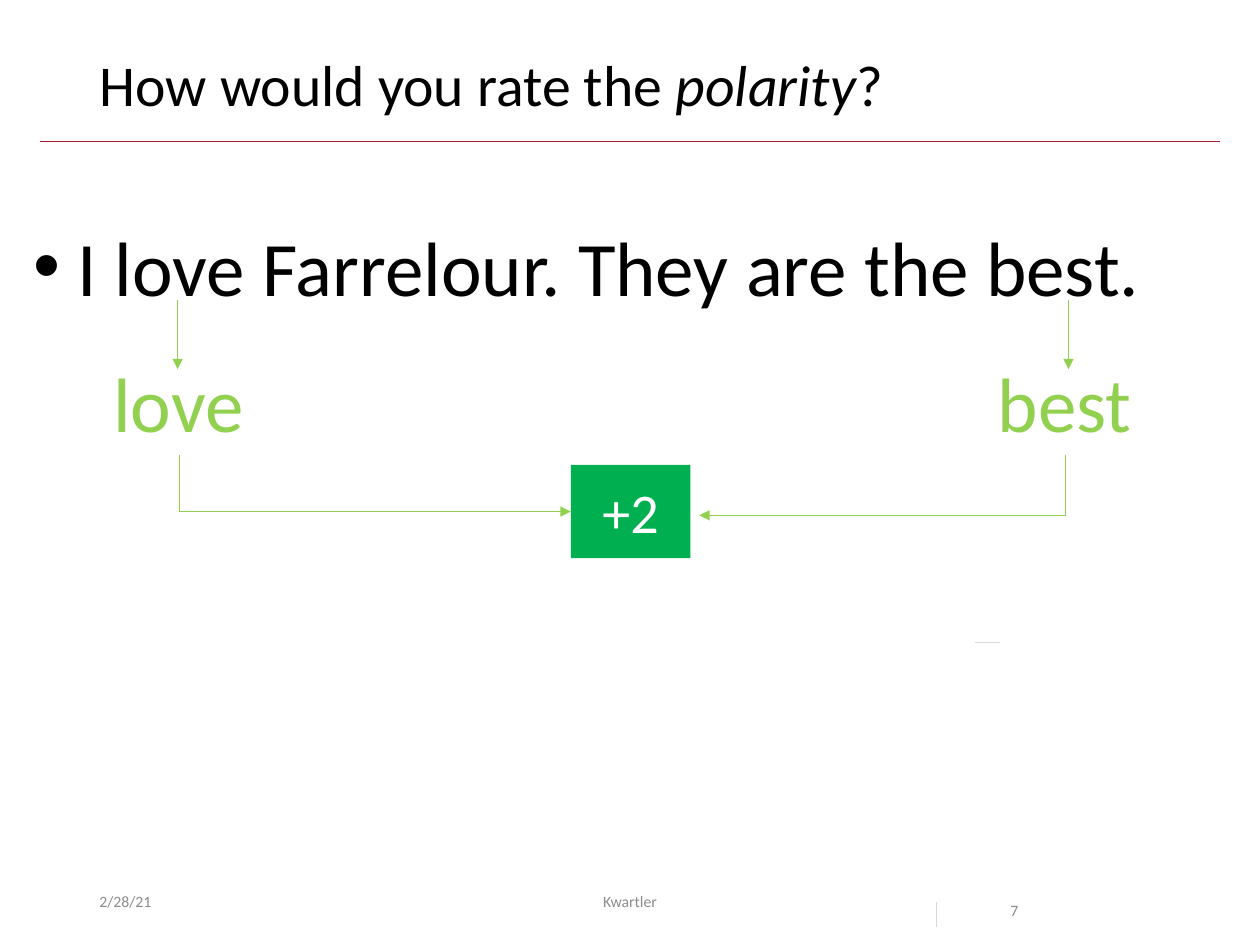
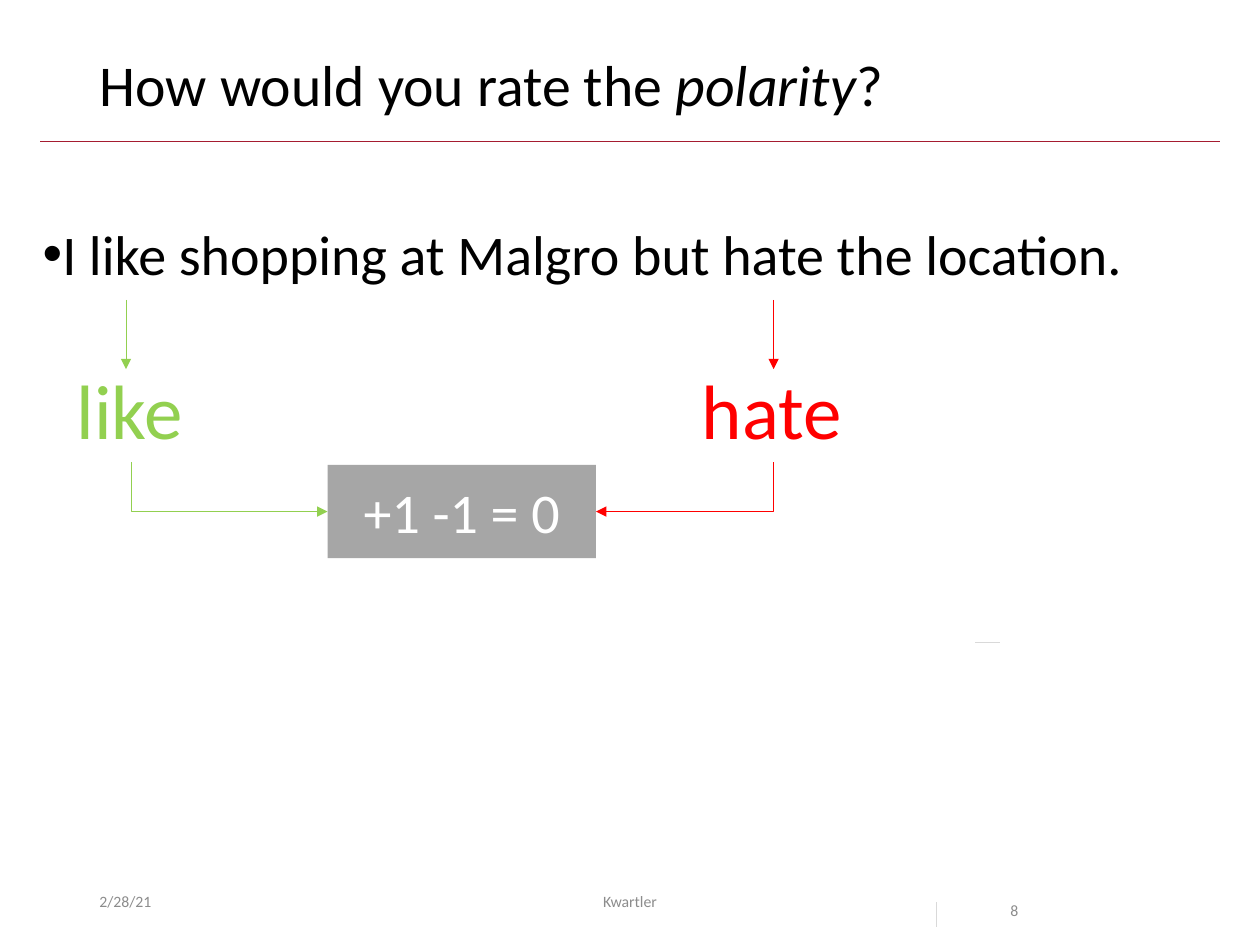
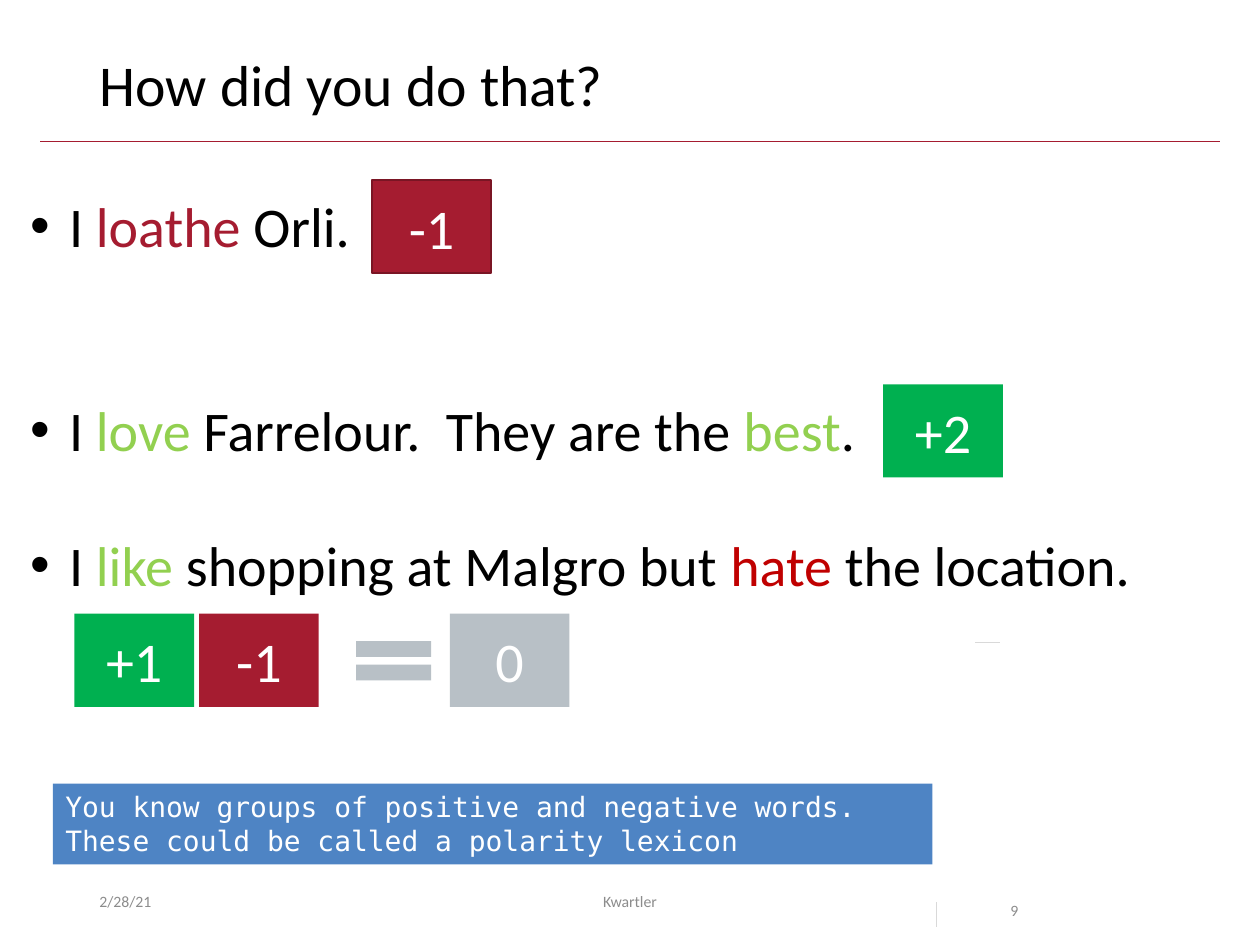
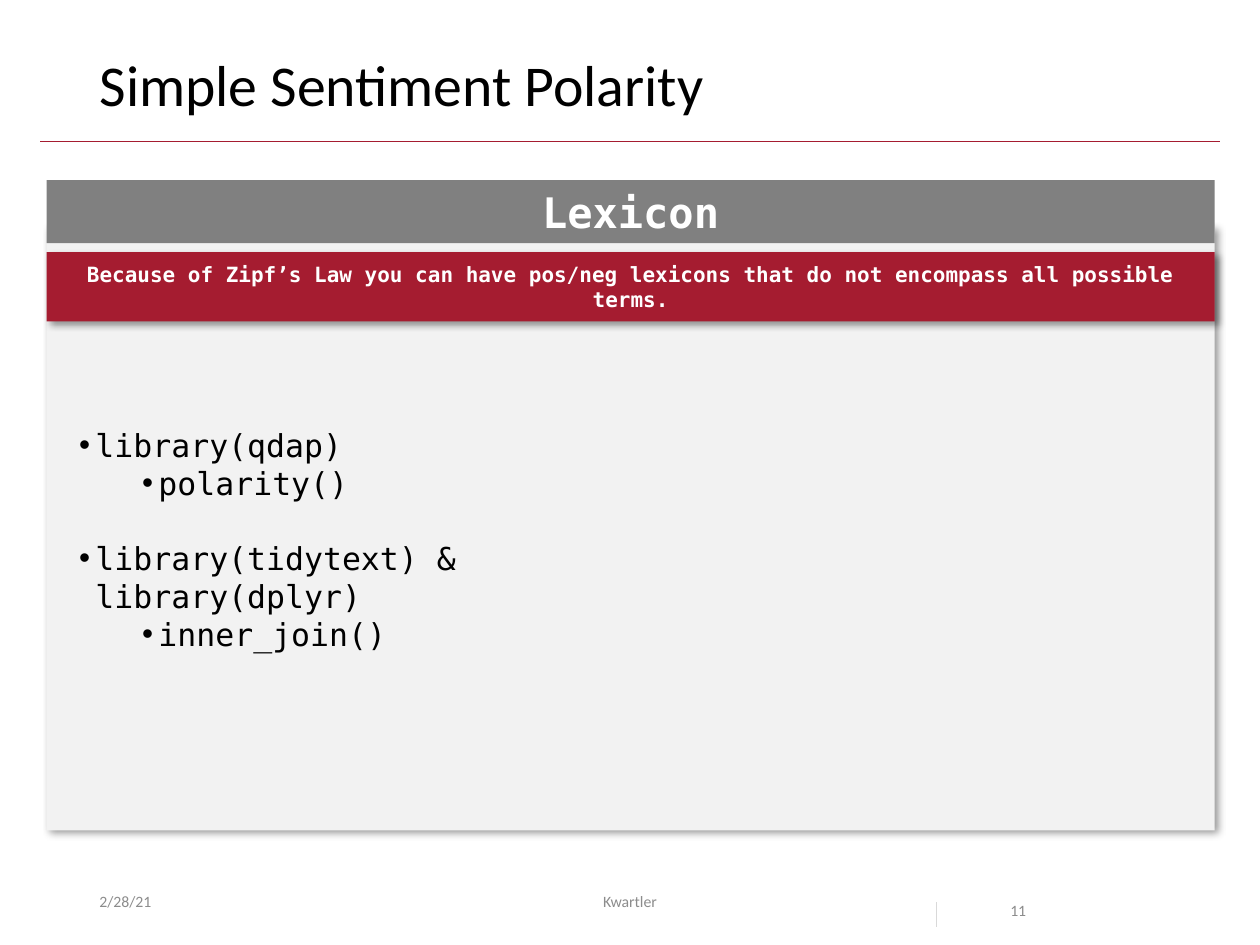
from lxml.etree import SubElement
from pptx import Presentation
from pptx.dml.color import RGBColor
from pptx.enum.shapes import MSO_CONNECTOR, MSO_SHAPE
from pptx.enum.text import MSO_ANCHOR, MSO_AUTO_SIZE, PP_ALIGN
from pptx.oxml.ns import qn
from pptx.util import Inches, Pt

STRAIGHT, ELBOW = MSO_CONNECTOR.STRAIGHT, MSO_CONNECTOR.ELBOW
RECT, EQUAL = MSO_SHAPE.RECTANGLE, MSO_SHAPE.MATH_EQUAL
TOP, MIDDLE = MSO_ANCHOR.TOP, MSO_ANCHOR.MIDDLE
LEFT, CENTER = PP_ALIGN.LEFT, PP_ALIGN.CENTER
FIXED = MSO_AUTO_SIZE.NONE

SANS, MONO = "Calibri", "DejaVu Sans Mono"
COLORS = {
    "black": "000000", "white": "FFFFFF", "muted": "8C8C8C", "hairline": "D9D9D9",
    "crimson": "A51C30", "crimson_edge": "7A1524", "red": "FF0000", "dark_red": "C00000",
    "green": "00B050", "lime": "92D050", "blue": "4E84C4", "silver": "B8C0C6",
    "neutral": "A6A6A6", "header": "808080", "panel": "F2F2F2",
}

prs = Presentation()
prs.slide_width, prs.slide_height = Inches(10), Inches(7.5)
COLUMNS = 100
UNIT = prs.slide_width / COLUMNS
TILE_W, TILE_H = 9.5, 7.4


def grid(*values):
    return [round(v * UNIT) for v in values]


def rgb(name):
    return RGBColor.from_string(COLORS[name])


def write(tf, *paragraphs, size=32, color="black", font=SANS, bold=False, align=LEFT,
          anchor=TOP, wrap=True, spacing=None, hang=None):
    tf.word_wrap, tf.vertical_anchor, tf.auto_size = wrap, anchor, FIXED
    for i, item in enumerate(paragraphs):
        item = item if isinstance(item, dict) else {"runs": item}
        runs = item["runs"]
        p = tf.paragraphs[0] if i == 0 else tf.add_paragraph()
        p.alignment = align
        p.level = item.get("level", 0)
        if spacing:
            p.line_spacing = spacing
        if "gap" in item:
            p.space_before = Pt(item["gap"])
        for run in [runs] if isinstance(runs, str) else runs:
            text, tint, italic = (run, color, False) if isinstance(run, str) else run
            r = p.add_run()
            r.text = text
            r.font.size, r.font.name = Pt(size), font
            r.font.bold, r.font.italic = bold, italic
            r.font.color.rgb = rgb(tint)
        if hang:
            margin, indent = item.get("hang", hang)
            pPr = p._p.get_or_add_pPr()
            pPr.set("marL", str(Inches(margin)))
            pPr.set("indent", str(Inches(indent)))
            SubElement(pPr, qn("a:buFont"), typeface="Arial")
            SubElement(pPr, qn("a:buChar"), char="•")


def label(s, box, *paragraphs, **fmt):
    sp = s.shapes.add_textbox(*grid(*box))
    write(sp.text_frame, *paragraphs, **fmt)


def block(s, box, fill, text=None, kind=RECT, edge=None, shadow=False, **fmt):
    sp = s.shapes.add_shape(kind, *grid(*box))
    sp.fill.solid()
    sp.fill.fore_color.rgb = rgb(fill)
    if edge:
        sp.line.color.rgb, sp.line.width = rgb(edge), Pt(1)
    else:
        sp.line.fill.background()
    sp.shadow.inherit = False
    if shadow:
        effects = sp.element.spPr.find(qn("a:effectLst"))
        outer = SubElement(effects, qn("a:outerShdw"), blurRad=str(Pt(4)), dist=str(Pt(3)),
                           dir=str(45 * 60000), algn="tl", rotWithShape="0")
        tint = SubElement(outer, qn("a:srgbClr"), val=COLORS["black"])
        SubElement(tint, qn("a:alpha"), val="40000")
    if text:
        write(sp.text_frame, text, **{"color": "white", "align": CENTER, "anchor": MIDDLE, **fmt})


def tile(s, x, y, text, fill, w=TILE_W, edge=None):
    block(s, (x, y, w, TILE_H), fill, text, edge=edge)


def line(s, x1, y1, x2, y2, color, arrow=False, kind=STRAIGHT):
    c = s.shapes.add_connector(kind, *grid(x1, y1, x2, y2))
    c.line.color.rgb, c.line.width = rgb(color), Pt(0.5)
    spPr = c.element.spPr
    if arrow:
        SubElement(spPr.find(qn("a:ln")), qn("a:tailEnd"), type="triangle")
    SubElement(spPr, qn("a:effectLst"))
    return c


def down_then_across(s, x1, y1, x2, y2, color):
    c = line(s, x1, y1, x2, y2, color, arrow=True, kind=ELBOW)
    w, h = y2 - y1, abs(x2 - x1)
    c.left, c.top, c.width, c.height = grid((x1 + x2 - w) / 2, (y1 + y2 - h) / 2, w, h)
    xfrm = c.element.spPr.find(qn("a:xfrm"))
    rightward = x2 > x1
    xfrm.set("rot", str((270 if rightward else 90) * 60000))
    xfrm.set("flipH", "1" if rightward else "0")
    c.element.spPr.find(qn("a:prstGeom")).set("prst", "bentConnector2")


def titled_slide(title, number):
    s = prs.slides.add_slide(prs.slide_layouts[5])
    sp = s.shapes.title
    sp.left, sp.top, sp.width, sp.height = grid(6.9, 4, 86.2, 6.5)
    write(sp.text_frame, title, size=33, spacing=0.9)
    line(s, 3.2, 11.2, 96.8, 11.2, "crimson")
    small = {"size": 9, "color": "muted"}
    label(s, (6.9, 69.5, 22.5, 4), "2/28/21", anchor=MIDDLE, **small)
    label(s, (33.1, 69.5, 33.8, 4), "Kwartler", anchor=MIDDLE, align=CENTER, **small)
    label(s, (79.2, 69.5, 9.4, 4), str(number), spacing=2, **small)
    line(s, 74.3, 71.6, 74.3, 73.6, "hairline")
    line(s, 77.4, 51, 79.4, 51, "hairline")
    return s


def scored_sentence(s, box, sentence, words, word_top, score, **fmt):
    x, y, w, h = box
    label(s, box, sentence, **fmt)
    for text, color, word_x, word_w, arrow_x, start, end in words:
        line(s, x + arrow_x, y + 6.9, x + arrow_x, y + 12.4, color, arrow=True)
        label(s, (x + word_x, y + word_top, word_w, 8.4), text, size=44, color=color, wrap=False)
        down_then_across(s, x + start, y + word_top + 8.4, x + end[0], y + end[1], color)
    text, fill, score_x, score_w = score
    tile(s, x + score_x, y + 20, text, fill, w=score_w)


def scored_list(s, box):
    x, y, w, h = box
    label(s, box,
          ["I ", ("loathe", "crimson", False), " Orli."],
          {"runs": ["I ", ("love", "lime", False), " Farrelour.  They are the ",
                    ("best", "lime", False), "."], "gap": 78},
          {"runs": ["I ", ("like", "lime", False), " shopping at Malgro but ",
                    ("hate", "dark_red", False), " the location."], "gap": 39},
          hang=(0.31, -0.31))
    tile(s, x + 28.1, y - 0.4, "-1", "crimson", edge="crimson_edge")
    tile(s, x + 68.7, y + 15.8, "+2", "green")
    sum_y = y + 34
    tile(s, x + 4.5, sum_y, "+1", "green")
    tile(s, x + 14.4, sum_y, "-1", "crimson")
    block(s, (x + 25.8, sum_y + 1.1, 8.1, 5.3), "silver", kind=EQUAL)
    tile(s, x + 34.3, sum_y, "0", "silver")


def lexicon_panel(s, box):
    x, y, w, h = box
    block(s, (x, y + 3.6, w, h - 3.6), "panel", shadow=True)
    block(s, (x, y, w, 5), "header", "Lexicon", size=24, font=MONO, bold=True)
    nested = {"level": 1, "hang": (0.63, -0.13)}
    label(s, (x + 1.6, y + 19, 42.4, 16.2),
          "library(qdap)",
          {"runs": "polarity()", **nested},
          {"runs": "library(tidytext) & library(dplyr)", "gap": 21.5},
          {"runs": "inner_join()", **nested},
          size=18, font=MONO, hang=(0.13, -0.13))
    block(s, (x, y + 5.7, w, 5.5), "crimson",
          "Because of Zipf’s Law you can have pos/neg lexicons that do not encompass "
          "all possible terms.", shadow=True, size=12, font=MONO, bold=True)


polarity_title = ["How would you rate the ", ("polarity", "black", True), "?"]

s = titled_slide(polarity_title, 7)
scored_sentence(s, (1.4, 16.9, 96.9, 8.4), "I love Farrelour. They are the best.",
                [("love", "lime", 6.6, 12.5, 12.7, 12.8, (43.9, 23.7)),
                 ("best", "lime", 76.8, 12.7, 83.4, 83.2, (54.1, 24))],
                10.8, ("+2", "green", 43.9, TILE_W), size=44, hang=(0.38, -0.35))

s = titled_slide(polarity_title, 8)
scored_sentence(s, (1.4, 16.9, 96.9, 6.4), "I like shopping at Malgro but hate the location.",
                [("like", "lime", 3.7, 10.5, 8.6, 9, (24.6, 23.7)),
                 ("hate", "red", 53.3, 13.2, 60, 60, (45.9, 23.7))],
                11.4, ("+1 -1 = 0", "neutral", 24.6, 21.3), hang=(0.19, -0.09))

s = titled_slide("How did you do that?", 9)
scored_list(s, (1.4, 14.7, 96.9, 33.3))
block(s, (4.2, 62.2, 69.8, 6.4), "blue",
      "You know groups of positive and negative words. These could be called a polarity lexicon",
      size=16, font=MONO, align=LEFT, anchor=TOP)

s = titled_slide("Simple Sentiment Polarity", 11)
lexicon_panel(s, (3.7, 14.3, 92.7, 51.6))

prs.save("out.pptx")
